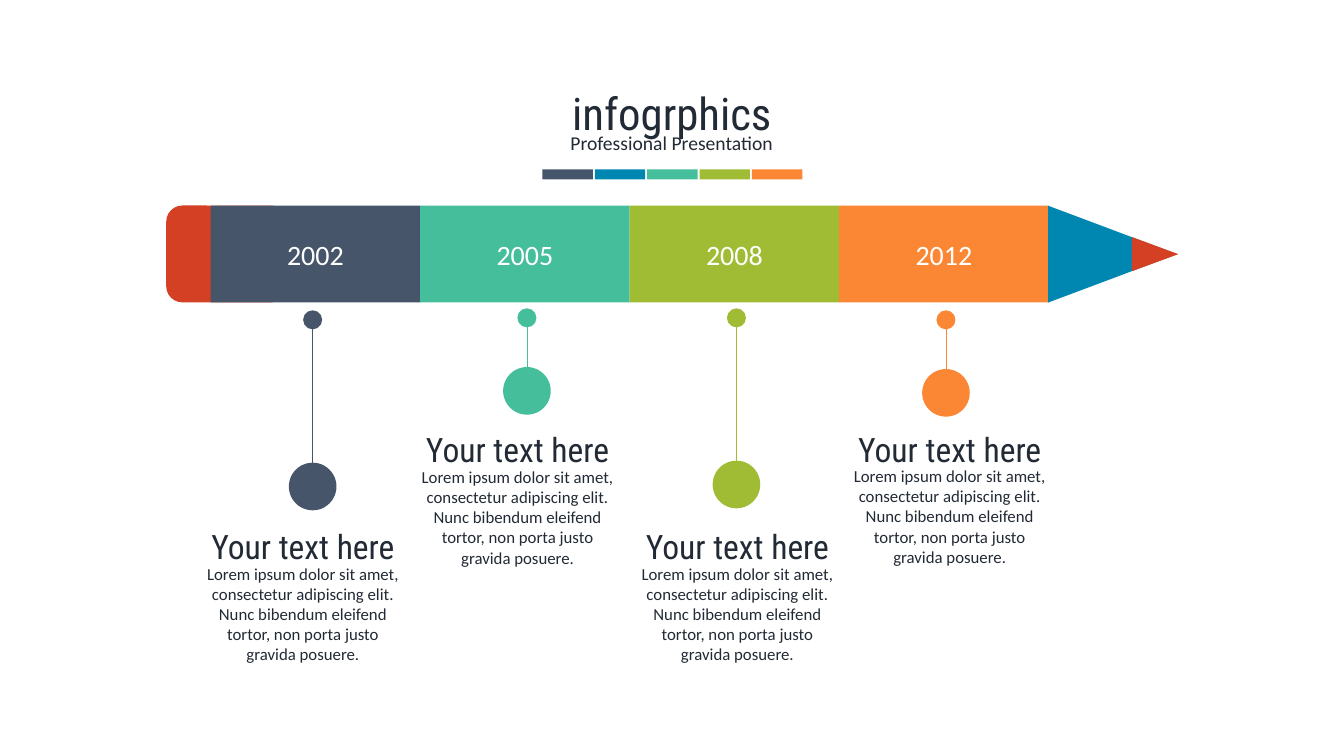
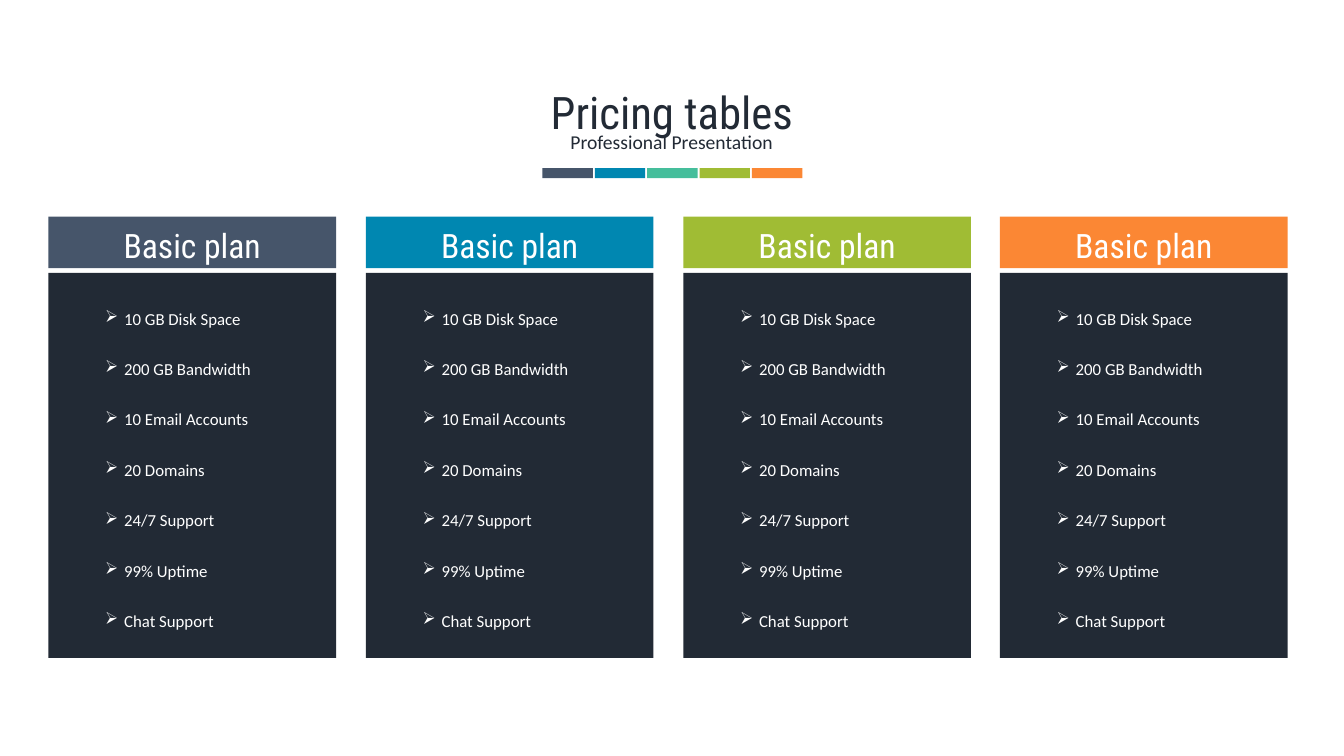
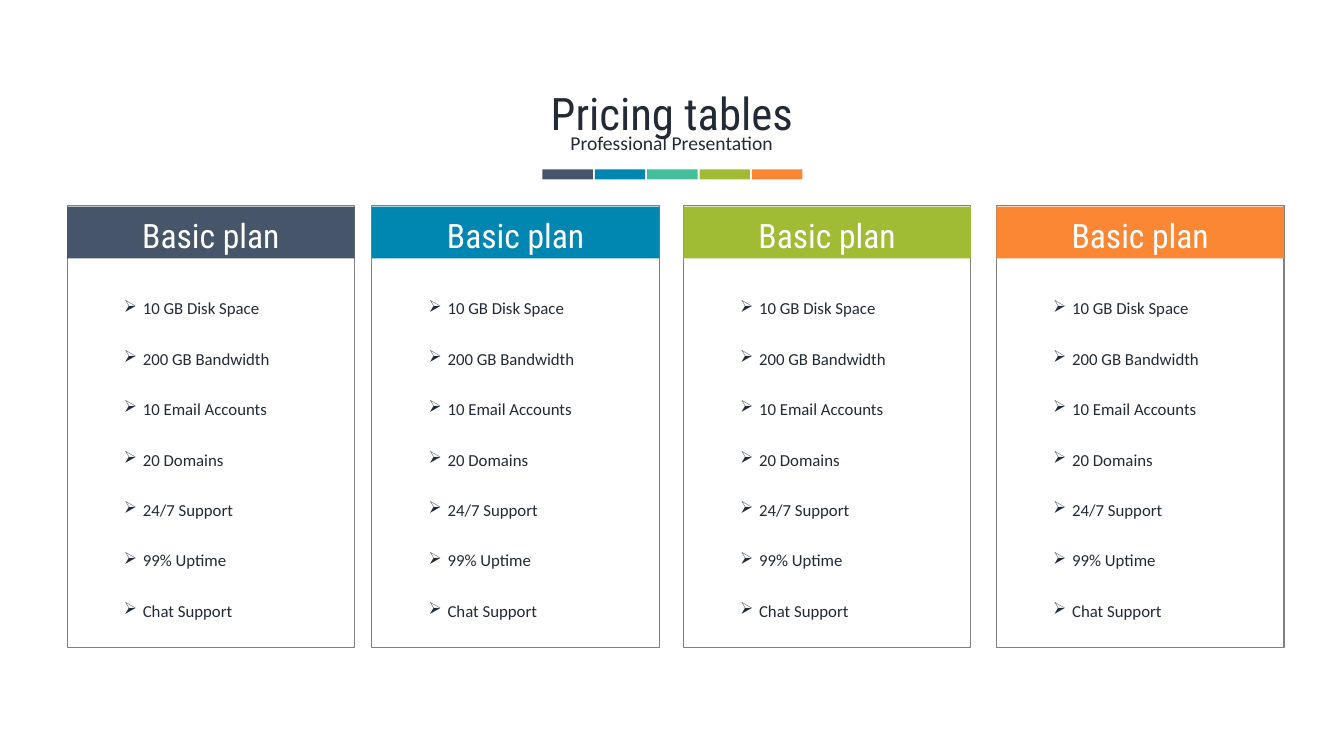
"""Build a pencil timeline and two pricing slides under one shared heading."""
from lxml import etree
from pptx import Presentation
from pptx.dml.color import RGBColor
from pptx.enum.shapes import MSO_CONNECTOR, MSO_SHAPE
from pptx.enum.text import MSO_ANCHOR, MSO_AUTO_SIZE, PP_ALIGN
from pptx.oxml.ns import qn
from pptx.util import Cm, Pt

RECTANGLE, ROUNDED = MSO_SHAPE.RECTANGLE, MSO_SHAPE.ROUNDED_RECTANGLE
OVAL, TRIANGLE = MSO_SHAPE.OVAL, MSO_SHAPE.ISOSCELES_TRIANGLE
STRAIGHT = MSO_CONNECTOR.STRAIGHT
TOP, MIDDLE = MSO_ANCHOR.TOP, MSO_ANCHOR.MIDDLE
LEFT, CENTER = PP_ALIGN.LEFT, PP_ALIGN.CENTER
NO_AUTOFIT = MSO_AUTO_SIZE.NONE

SLATE = RGBColor(0x46, 0x55, 0x6A)
BLUE = RGBColor(0x00, 0x87, 0xB1)
TEAL = RGBColor(0x45, 0xBE, 0x9B)
GREEN = RGBColor(0xA0, 0xBC, 0x34)
ORANGE = RGBColor(0xFB, 0x87, 0x34)
RED = RGBColor(0xD4, 0x40, 0x24)
NAVY = RGBColor(0x22, 0x2A, 0x35)
GRAY = RGBColor(0x80, 0x80, 0x80)
WHITE = RGBColor(0xFF, 0xFF, 0xFF)

TITLE = {"name": "Roboto Condensed", "size": Pt(32)}
HEADING = {"name": "Roboto Condensed", "size": Pt(24)}
SUBTITLE = {"name": "Calibri", "size": Pt(14)}
YEAR = {"name": "Calibri", "size": Pt(20)}
BODY = {"name": "Calibri", "size": Pt(12)}

SLIDE_WIDTH = 33.87
LOREM = ("Lorem ipsum dolor sit amet, consectetur adipiscing elit. Nunc bibendum "
         "eleifend tortor, non porta justo gravida posuere.")
FEATURES = ["10 GB Disk Space", "200 GB Bandwidth", "10 Email Accounts", "20 Domains",
            "24/7 Support", "99% Uptime", "Chat Support"]


def add_block(slide, kind, left, top, width, height, fill=None, line=None):
    """Add a preset shape, measured in centimetres."""
    shape = slide.shapes.add_shape(kind, Cm(left), Cm(top), Cm(width), Cm(height))
    shape.shadow.inherit = False
    if fill is None:
        shape.fill.background()
    else:
        shape.fill.solid()
        shape.fill.fore_color.rgb = fill
    if line is None:
        shape.line.fill.background()
    else:
        shape.line.color.rgb = line
        shape.line.width = Pt(0)
    return shape


def write_text(shape, lines, style, color, anchor=TOP, inset_left=0.25, inset_top=0.13,
               bullet=None):
    """Write paragraphs into a shape, centred unless they carry bullets."""
    frame = shape.text_frame
    settings = {"word_wrap": True, "auto_size": NO_AUTOFIT, "vertical_anchor": anchor,
                "margin_left": Cm(inset_left), "margin_right": Cm(0.25),
                "margin_top": Cm(inset_top), "margin_bottom": Cm(0.13)}
    for name, value in settings.items():
        setattr(frame, name, value)
    for index, line in enumerate(lines):
        paragraph = frame.add_paragraph() if index else frame.paragraphs[0]
        paragraph.alignment = LEFT if bullet else CENTER
        paragraph.line_spacing = 2.5 if bullet else 1.0
        if bullet:
            properties = paragraph._p.get_or_add_pPr()
            properties.set("marL", str(Cm(0.48)))
            properties.set("indent", str(-Cm(0.48)))
            etree.SubElement(properties, qn("a:buChar")).set("char", bullet)
        run = paragraph.add_run()
        run.text = line
        run.font.color.rgb = color
        for name, value in style.items():
            setattr(run.font, name, value)


presentation = Presentation()
presentation.slide_width = Cm(SLIDE_WIDTH)
presentation.slide_height = Cm(19.05)

slides = []
for title, top in [("infogrphics", 2.03), ("Pricing tables", 2.0), ("Pricing tables", 2.03)]:
    slide = presentation.slides.add_slide(presentation.slide_layouts[5])
    slides.append(slide)
    place = {"left": Cm(0), "top": Cm(top), "width": Cm(SLIDE_WIDTH), "height": Cm(1.63)}
    for name, value in place.items():
        setattr(slide.shapes.title, name, value)
    write_text(slide.shapes.title, [title], TITLE, NAVY)
    subtitle = slide.shapes.add_textbox(Cm(1.73), Cm(top + 1.15), Cm(30.4), Cm(0.86))
    write_text(subtitle, ["Professional Presentation"], SUBTITLE, NAVY)
    for index, color in enumerate([SLATE, BLUE, TEAL, GREEN, ORANGE]):
        add_block(slide, RECTANGLE, 13.67 + 1.32 * index, top + 2.24, 1.27, 0.25, color)

timeline, dark_pricing, light_pricing = slides

PENCIL_TOP, PENCIL_HEIGHT, SEGMENT_LEFT, SEGMENT_WIDTH = 5.18, 2.44, 5.31, 5.28
DOT, CIRCLE = 0.48, 1.2
add_block(timeline, ROUNDED, 4.19, PENCIL_TOP, 3.05, PENCIL_HEIGHT, RED)
milestones = [
    ("2002", SLATE, 7.88, 7.82, 11.66, 4.93, 13.13),
    ("2005", TEAL, 13.28, 7.77, 9.25, 10.34, 10.69),
    ("2008", GREEN, 18.56, 7.77, 11.61, 15.88, 13.13),
    ("2012", ORANGE, 23.84, 7.82, 9.3, 21.23, 10.67),
]
for index, milestone in enumerate(milestones):
    year, color, center, dot_top, circle_top, text_left, text_top = milestone
    segment = add_block(timeline, RECTANGLE, SEGMENT_LEFT + SEGMENT_WIDTH * index,
                        PENCIL_TOP, SEGMENT_WIDTH, PENCIL_HEIGHT, color)
    write_text(segment, [year], YEAR, WHITE, MIDDLE)
    add_block(timeline, OVAL, center - DOT / 2, dot_top, DOT, DOT, color)
    stem = timeline.shapes.add_connector(STRAIGHT, Cm(center), Cm(circle_top),
                                         Cm(center), Cm(dot_top + DOT))
    stem.line.color.rgb = color
    stem.line.width = Pt(0.5)
    etree.SubElement(stem._element.spPr, qn("a:effectLst"))
    add_block(timeline, OVAL, center - CIRCLE / 2, circle_top, CIRCLE, CIRCLE, color)
    for offset, height, text, style in [(0.94, 2.82, LOREM, BODY),
                                        (0, 1.27, "Your text here", HEADING)]:
        box = timeline.shapes.add_textbox(Cm(text_left), Cm(text_top + offset),
                                          Cm(5.41), Cm(height))
        write_text(box, [text], style, NAVY)

for left, top, width, height, color in [(26.82, 4.78, PENCIL_HEIGHT, 3.25, BLUE),
                                        (28.68, 5.82, 0.86, 1.17, RED)]:
    point = add_block(timeline, TRIANGLE, left, top, width, height, color)
    point.rotation = 90

PLAN_COLORS = [SLATE, BLUE, GREEN, ORANGE]
PLAN_WIDTH = 7.25
pricing = [
    (dark_pricing, [1.22, 9.22, 17.22, 25.2], 5.46, 6.88, 9.7, 0.13, NAVY, None, WHITE),
    (light_pricing, [1.69, 9.37, 17.22, 25.11], 5.21, 5.18, 11.13, 1.57, None, GRAY, NAVY),
]
for slide, lefts, header_top, card_top, card_height, inset, fill, line, ink in pricing:
    for left, color in zip(lefts, PLAN_COLORS):
        card = add_block(slide, RECTANGLE, left, card_top, PLAN_WIDTH, card_height, fill, line)
        write_text(card, FEATURES, BODY, ink, inset_left=1.43, inset_top=inset, bullet="➢")
        header = add_block(slide, RECTANGLE, left, header_top, PLAN_WIDTH, 1.3, color)
        write_text(header, ["Basic plan"], HEADING, WHITE, inset_top=0.2)

presentation.save("out.pptx")
